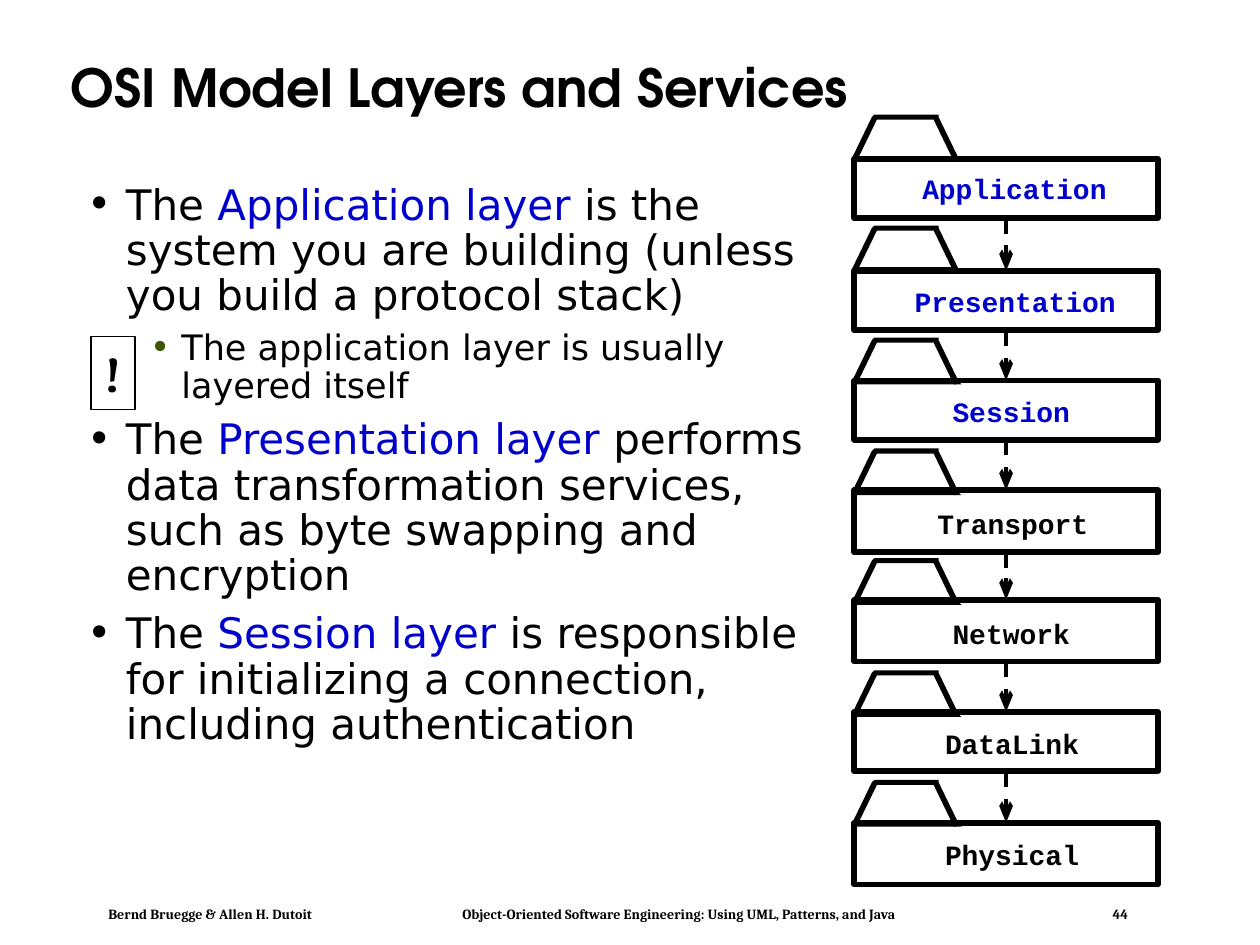
"""Build the slide on OSI model layers with its stack of package symbols."""
from lxml.etree import SubElement
from pptx import Presentation
from pptx.dml.color import RGBColor
from pptx.enum.dml import MSO_LINE
from pptx.enum.shapes import MSO_CONNECTOR, MSO_SHAPE
from pptx.enum.text import MSO_ANCHOR, PP_ALIGN
from pptx.oxml.ns import qn
from pptx.util import Inches, Pt

BLACK = RGBColor(0x00, 0x00, 0x00)
BLUE = RGBColor(0x00, 0x00, 0xCC)
GREEN = RGBColor(0x3D, 0x55, 0x00)


def add_text_box(left, top, width, height, inset_x=0, inset_y=0):
    box = page.shapes.add_textbox(Inches(left), Inches(top), Inches(width), Inches(height))
    frame = box.text_frame
    frame.margin_left = frame.margin_right = Inches(inset_x)
    frame.margin_top = frame.margin_bottom = Inches(inset_y)
    frame.word_wrap = True
    return frame


def style(span, name, size, color=BLACK, bold=False):
    span.font.name = name
    span.font.size = Pt(size)
    span.font.color.rgb = color
    span.font.bold = bold


deck = Presentation()
deck.slide_width, deck.slide_height = Inches(10), Inches(7.5)
page = deck.slides.add_slide(deck.slide_layouts[6])

footer = add_text_box(0.78, 7.15, 8.27, 0.21, 0.08, 0.04)
footer.text = (
    "Bernd Bruegge & Allen H. Dutoit\t"
    "Object-Oriented Software Engineering: Using UML, Patterns, and Java\t44"
)
para = footer.paragraphs[0]
style(para.runs[0], "Cambria", 8, bold=True)
tabs = SubElement(para._p.get_or_add_pPr(), qn("a:tabLst"))
for position in (2.81, 7.97):
    SubElement(tabs, qn("a:tab"), pos=str(Inches(position)), algn="l")

title = add_text_box(0.46, 0.25, 8.92, 0.94, 0.1, 0.05)
title.vertical_anchor = MSO_ANCHOR.MIDDLE
title.text = "OSI Model Layers and Services"
title.paragraphs[0].line_spacing = 0.9
style(title.paragraphs[0].runs[0], "TeX Gyre Adventor", 30, bold=True)

body = add_text_box(0.58, 1.41, 6.22, 5.25, 0.11, 0.05)
bullets = [
    (0, ["The ", "Application layer",
         " is the system you are building (unless you build a protocol stack)"]),
    (1, ["The application layer is usually layered itself"]),
    (0, ["The ", "Presentation layer",
         " performs data transformation services, such as byte swapping and encryption"]),
    (0, ["The ", "Session layer",
         " is responsible for initializing a connection, including authentication"]),
]
levels = [(24, 0.31, 0.31, BLACK), (20, 0.75, 0.25, GREEN)]
for index, (level, parts) in enumerate(bullets):
    size, margin, hanging, bullet_color = levels[level]
    para = body.paragraphs[0] if index == 0 else body.add_paragraph()
    para.level = level
    para.line_spacing = 0.9
    para.space_before = Pt(size * 0.3)
    for position, part in enumerate(parts):
        span = para.add_run()
        span.text = part
        style(span, "DejaVu Sans", size, BLUE if position == 1 else BLACK)
    properties = para._p.get_or_add_pPr()
    properties.set("marL", str(Inches(margin)))
    properties.set("indent", str(-Inches(hanging)))
    color = SubElement(properties, qn("a:buClr"))
    SubElement(color, qn("a:srgbClr"), val=str(bullet_color))
    SubElement(properties, qn("a:buFont"), typeface="DejaVu Sans")
    SubElement(properties, qn("a:buChar"), char="•")

layers = [
    ("Application", 1.26, 0.47, 0.91, 7.32, 1.36, BLUE),
    ("Presentation", 2.15, 0.47, 1.79, 7.26, 2.26, BLUE),
    ("Session", 3.02, 0.47, 2.68, 7.56, 3.13, BLUE),
    ("Transport", 3.89, 0.49, 3.56, 7.44, 4.02, BLACK),
    ("Network", 4.76, 0.49, 4.43, 7.56, 4.89, BLACK),
    ("DataLink", 5.65, 0.47, 5.32, 7.5, 5.77, BLACK),
    ("Physical", 6.53, 0.49, 6.19, 7.5, 6.65, BLACK),
]
tab_edges = [
    [(6.76, 0.35), (6.8, 0.37), (6.96, 0.04), (6.94, 0), (6.92, 0.02)],
    [(6.94, 0), (6.94, 0.04), (7.43, 0.04), (7.45, 0.02), (7.45, 0), (7.43, 0)],
    [(7.45, 0.02), (7.41, 0.04), (7.57, 0.37), (7.59, 0.37), (7.63, 0.37), (7.61, 0.35)],
    [(7.59, 0.37), (7.59, 0.33), (6.78, 0.33), (6.76, 0.35), (6.76, 0.37), (6.78, 0.37)],
]
packages = []
for name, top, height, tab_top, label_left, label_top, color in layers:
    package_box = page.shapes.add_shape(
        MSO_SHAPE.RECTANGLE, Inches(6.78), Inches(top), Inches(2.41), Inches(height))
    package_box.shadow.inherit = False
    package_box.fill.background()
    package_box.line.color.rgb = BLACK
    package_box.line.width = Pt(3.25)
    packages.append(package_box)

    for edge in tab_edges:
        points = [(Inches(x), Inches(tab_top + y)) for x, y in edge]
        outline = page.shapes.build_freeform(*points[0])
        outline.add_line_segments(points[1:])
        stroke = outline.convert_to_shape()
        stroke.shadow.inherit = False
        stroke.fill.solid()
        stroke.fill.fore_color.rgb = BLACK
        stroke.line.fill.background()

    label = add_text_box(label_left, label_top, len(name) * 0.133, 0.27)
    label.word_wrap = False
    label.text = name
    style(label.paragraphs[0].runs[0], "Courier New", 16, color, True)

for upper, lower in zip(packages, packages[1:]):
    arrow = page.shapes.add_connector(MSO_CONNECTOR.STRAIGHT, 0, 0, 0, 0)
    arrow.begin_connect(upper, 2)
    arrow.end_connect(lower, 0)
    arrow.line.color.rgb = BLACK
    arrow.line.width = Pt(2.25)
    arrow.line.dash_style = MSO_LINE.DASH
    SubElement(arrow.line._get_or_add_ln(), qn("a:tailEnd"), type="arrow", w="med", len="lg")
    SubElement(arrow._element.spPr, qn("a:effectLst"))

notice = page.shapes.add_shape(
    MSO_SHAPE.RECTANGLE, Inches(0.72), Inches(2.67), Inches(0.35), Inches(0.58))
notice.shadow.inherit = False
notice.fill.background()
notice.line.color.rgb = BLACK
notice.line.width = Pt(1)
notice.text_frame.word_wrap = False
notice.text_frame.vertical_anchor = MSO_ANCHOR.MIDDLE
notice.text_frame.text = "!"
notice.text_frame.paragraphs[0].alignment = PP_ALIGN.CENTER
style(notice.text_frame.paragraphs[0].runs[0], "Cambria", 28, bold=True)

deck.save("out.pptx")
